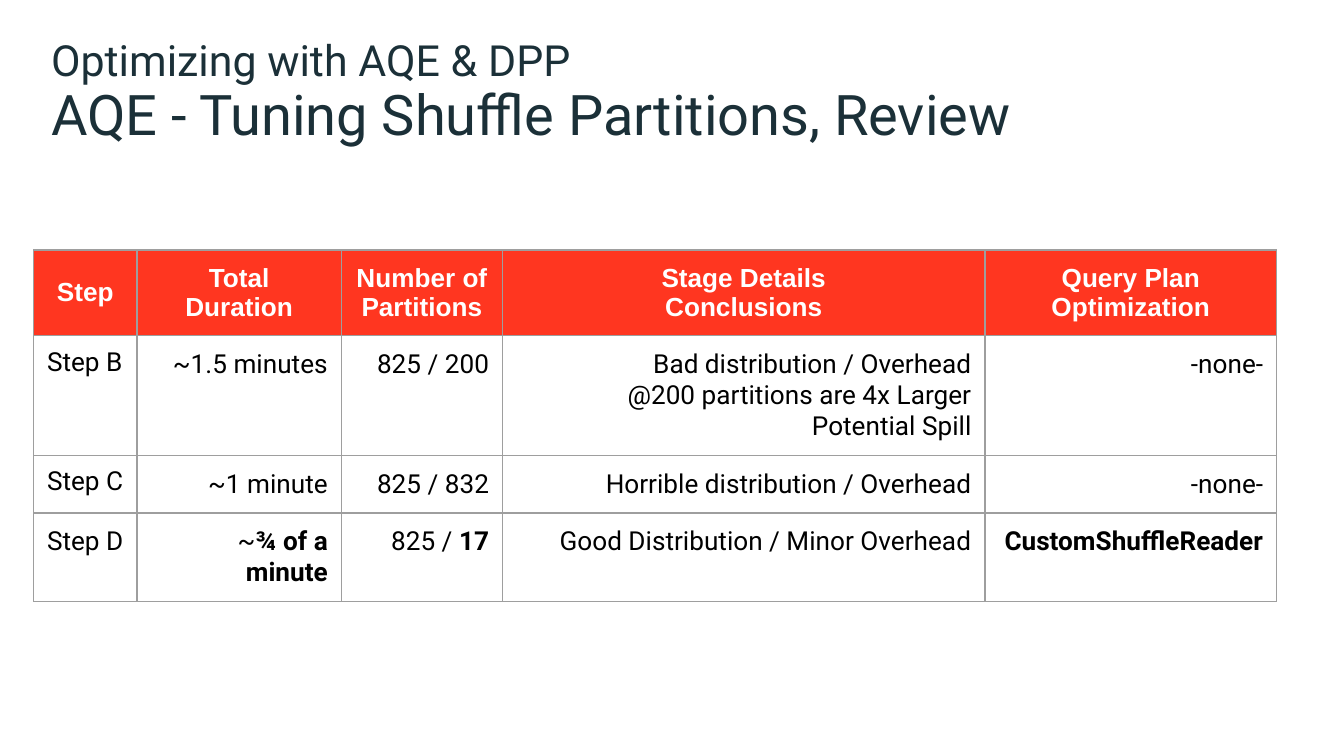
from dataclasses import dataclass

from lxml import etree
from pptx import Presentation
from pptx.dml.color import RGBColor
from pptx.enum.text import MSO_ANCHOR, PP_ALIGN
from pptx.oxml.ns import qn
from pptx.util import Inches, Pt

LEFT, CENTER, RIGHT = PP_ALIGN.LEFT, PP_ALIGN.CENTER, PP_ALIGN.RIGHT
TOP, MIDDLE = MSO_ANCHOR.TOP, MSO_ANCHOR.MIDDLE


@dataclass(frozen=True)
class Theme:
    heading_font: str = "Arial"
    body_font: str = "Roboto"
    title_color: str = "1B3038"
    header_fill: str = "FF3620"
    header_color: str = "FFFFFF"
    body_fill: str = "FFFFFF"
    body_color: str = "000000"
    border_color: str = "9E9E9E"
    border_width: float = 0.75
    topic_size: int = 23
    title_size: int = 30
    table_size: int = 14


THEME = Theme()
SLIDE_WIDTH = 10
SLIDE_HEIGHT = SLIDE_WIDTH * 9 / 16

# text, top, height, type size
HEADINGS = [
    ("Optimizing with AQE & DPP", 0.25, 0.42, THEME.topic_size),
    ("AQE - Tuning Shuffle Partitions, Review", 0.59, 0.5, THEME.title_size),
]
HEADING_LEFT, HEADING_WIDTH = 0.38, 9.61

# A cell is a list of paragraphs, a paragraph a list of (text, bold) runs;
# a plain string stands for one run in the row's own weight, "\n" for a line break.
HEADER = [
    ["Step"],
    ["Total\nDuration"],
    ["Number of Partitions"],
    ["Stage Details", "Conclusions"],
    ["Query Plan\nOptimization"],
]
STEPS = [
    [["Step B"], ["~1.5 minutes"], ["825 / 200"],
     ["Bad distribution / Overhead\n@200 partitions are 4x Larger", "Potential Spill"],
     ["-none-"]],
    [["Step C"], ["~1 minute"], ["825 / 832"],
     ["Horrible distribution / Overhead"], ["-none-"]],
    [["Step D"], [[("~", False), ("¾ of a minute", True)]],
     [[("825 / ", False), ("17", True)]],
     ["Good Distribution / Minor Overhead"],
     [[("CustomShuffleReader", True)]]],
]
TABLE_LEFT, TABLE_TOP = 0.25, 1.86
COLUMN_WIDTHS = [0.77, 1.52, 1.2, 3.59, 2.17]
ROW_HEIGHTS = [0.62, 0.43, 0.43, 0.4]
STEP_LINE_SPACING = [0.9, 0.9, None]
CELL_MARGIN = 0.1


def add_run(paragraph, text, font, size, color, bold=False):
    for number, line in enumerate(text.split("\n")):
        if number:
            paragraph.add_line_break()
        run = paragraph.add_run()
        run.text = line
        run.font.name = font
        run.font.size = Pt(size)
        run.font.bold = bold
        run.font.color.rgb = RGBColor.from_string(color)


def add_heading(slide, text, top, height, size):
    box = slide.shapes.add_textbox(Inches(HEADING_LEFT), Inches(top),
                                   Inches(HEADING_WIDTH), Inches(height))
    frame = box.text_frame
    frame.word_wrap = True
    frame.vertical_anchor = TOP
    frame.margin_left = frame.margin_right = 0
    frame.margin_top = frame.margin_bottom = 0
    add_run(frame.paragraphs[0], text, THEME.body_font, size, THEME.title_color)


def add_borders(cell):
    properties = cell._tc.get_or_add_tcPr()
    for position, side in enumerate(("a:lnL", "a:lnR", "a:lnT", "a:lnB")):
        line = etree.Element(qn(side), w=str(Pt(THEME.border_width)))
        fill = etree.SubElement(line, qn("a:solidFill"))
        etree.SubElement(fill, qn("a:srgbClr"), val=THEME.border_color)
        properties.insert(position, line)


def fill_cell(cell, content, is_header, alignment, line_spacing):
    if is_header:
        font, color, fill = THEME.heading_font, THEME.header_color, THEME.header_fill
    else:
        font, color, fill = THEME.body_font, THEME.body_color, THEME.body_fill
    cell.fill.solid()
    cell.fill.fore_color.rgb = RGBColor.from_string(fill)
    cell.vertical_anchor = MIDDLE if is_header else TOP
    cell.margin_left = cell.margin_right = Inches(CELL_MARGIN)
    cell.margin_top = cell.margin_bottom = Inches(CELL_MARGIN)
    add_borders(cell)

    frame = cell.text_frame
    for number, runs in enumerate(content):
        paragraph = frame.add_paragraph() if number else frame.paragraphs[0]
        paragraph.alignment = alignment
        paragraph.line_spacing = line_spacing
        if isinstance(runs, str):
            runs = [(runs, is_header)]
        for text, bold in runs:
            add_run(paragraph, text, font, THEME.table_size, color, bold)


def add_review_table(slide):
    rows = [HEADER] + STEPS
    table = slide.shapes.add_table(
        len(rows), len(HEADER), Inches(TABLE_LEFT), Inches(TABLE_TOP),
        Inches(sum(COLUMN_WIDTHS)), Inches(sum(ROW_HEIGHTS))).table
    table.horz_banding = False
    for column, width in zip(table.columns, COLUMN_WIDTHS):
        column.width = Inches(width)
    for row, height in zip(table.rows, ROW_HEIGHTS):
        row.height = Inches(height)

    for r, contents in enumerate(rows):
        for c, content in enumerate(contents):
            is_header, is_step = r == 0, r > 0 and c == 0
            alignment = CENTER if is_header else LEFT if is_step else RIGHT
            spacing = STEP_LINE_SPACING[r - 1] if is_step else None
            fill_cell(table.cell(r, c), content, is_header, alignment, spacing)


def main():
    deck = Presentation()
    deck.slide_width, deck.slide_height = Inches(SLIDE_WIDTH), Inches(SLIDE_HEIGHT)
    slide = deck.slides.add_slide(deck.slide_layouts[6])
    add_review_table(slide)
    for heading in HEADINGS:
        add_heading(slide, *heading)
    deck.save("out.pptx")


if __name__ == "__main__":
    main()
